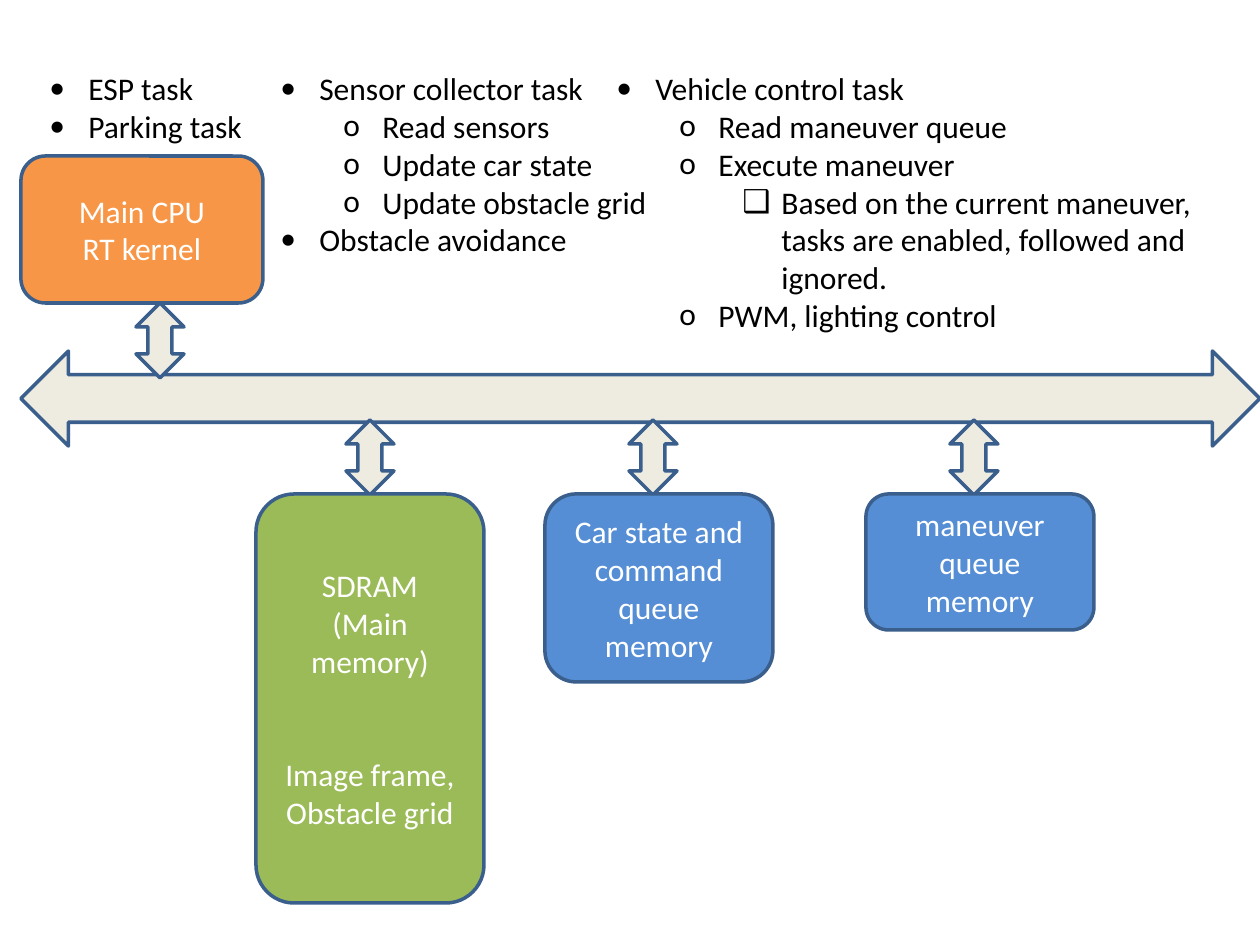
from lxml import etree
from pptx import Presentation
from pptx.dml.color import RGBColor
from pptx.enum.shapes import MSO_SHAPE
from pptx.enum.text import MSO_ANCHOR, MSO_AUTO_SIZE, PP_ALIGN
from pptx.oxml.ns import qn
from pptx.util import Emu, Pt

PIXEL = 914400 // 126
BOX = MSO_SHAPE.FLOWCHART_ALTERNATE_PROCESS
LINK = MSO_SHAPE.UP_DOWN_ARROW
BUS = MSO_SHAPE.LEFT_RIGHT_ARROW
CENTER = PP_ALIGN.CENTER
MIDDLE = MSO_ANCHOR.MIDDLE
GROW = MSO_AUTO_SIZE.SHAPE_TO_FIT_TEXT

FONT = "Calibri"
OUTLINE = "3A5F8C"
ARROW_FILL = "EEECE1"
BLUE = "558ED5"
BULLETS = ("•", "o", "❑")
HANGING = 39
LEVEL_STEP = 63
LINK_WIDTH, LINK_HEIGHT = 48, 75
LINK_TOP, MEMORY_TOP, MEMORY_WIDTH = 420, 494, 228


def px(value):
    return Emu(value * PIXEL)


def color(value):
    return RGBColor.from_string(value)


def apply(target, values):
    for name, value in values.items():
        setattr(target, name, value)


def add_block(slide, kind, bounds, fill):
    shape = slide.shapes.add_shape(kind, *map(px, bounds))
    shape.shadow.inherit = False
    shape.fill.solid()
    shape.fill.fore_color.rgb = color(fill)
    shape.line.color.rgb = color(OUTLINE)
    shape.line.width = Pt(2)
    return shape


def add_paragraph(frame, index, text, font_color, values):
    paragraph = frame.add_paragraph() if index else frame.paragraphs[0]
    apply(paragraph, values)
    run = paragraph.add_run()
    run.text = text
    apply(run.font, {"name": FONT, "size": Pt(18)})
    run.font.color.rgb = color(font_color)
    return paragraph


def add_box(slide, bounds, fill, lines):
    frame = add_block(slide, BOX, bounds, fill).text_frame
    apply(frame, {"word_wrap": True, "vertical_anchor": MIDDLE})
    for index, (text, gap) in enumerate(lines):
        values = {"alignment": CENTER, "space_before": Pt(gap)}
        add_paragraph(frame, index, text, "FFFFFF", values)


def add_link(slide, center, top):
    bounds = (center - LINK_WIDTH // 2, top, LINK_WIDTH, LINK_HEIGHT)
    add_block(slide, LINK, bounds, ARROW_FILL)


def set_bullet(paragraph, level):
    properties = paragraph._p.get_or_add_pPr()
    properties.set("marL", str(px(HANGING + level * LEVEL_STEP)))
    properties.set("indent", str(px(-HANGING)))
    etree.SubElement(properties, qn("a:buFont")).set("typeface", FONT)
    etree.SubElement(properties, qn("a:buChar")).set("char", BULLETS[level])


def add_task_list(slide, bounds, tasks):
    frame = slide.shapes.add_textbox(*map(px, bounds)).text_frame
    apply(frame, {"word_wrap": True, "auto_size": GROW})
    for index, (level, text) in enumerate(tasks):
        paragraph = add_paragraph(frame, index, text, "000000", {"level": level})
        set_bullet(paragraph, level)


def main():
    presentation = Presentation()
    apply(presentation, {"slide_width": px(1260), "slide_height": px(945)})
    slide = presentation.slides.add_slide(presentation.slide_layouts[6])

    add_box(slide, (21, 156, 242, 147), "F79646",
            [("Main CPU", 0), ("RT kernel", 0)])
    add_block(slide, BUS, (21, 351, 1239, 95), ARROW_FILL)
    add_link(slide, 160, 303)

    memories = [
        (256, 370, 409, "9BBB59",
         [("SDRAM", 0), ("(Main memory)", 0),
          ("Image frame,", 43), ("Obstacle grid", 0)]),
        (545, 653, 188, BLUE, [("Car state and command queue memory", 0)]),
        (866, 974, 136, BLUE, [("maneuver queue memory", 0)]),
    ]
    for left, link_center, height, fill, lines in memories:
        add_link(slide, link_center, LINK_TOP)
        add_box(slide, (left, MEMORY_TOP, MEMORY_WIDTH, height), fill, lines)

    task_lists = [
        ((37, 63, 415, 89), [(0, "ESP task"), (0, "Parking task")]),
        ((604, 63, 635, 317),
         [(0, "Vehicle control task"),
          (1, "Read maneuver queue"),
          (1, "Execute maneuver"),
          (2, "Based on the current maneuver, tasks are enabled, "
              "followed and ignored."),
          (1, "PWM, lighting control")]),
        ((268, 63, 415, 204),
         [(0, "Sensor collector task"),
          (1, "Read sensors"),
          (1, "Update car state"),
          (1, "Update obstacle grid"),
          (0, "Obstacle avoidance")]),
    ]
    for bounds, tasks in task_lists:
        add_task_list(slide, bounds, tasks)

    presentation.save("out.pptx")


main()
